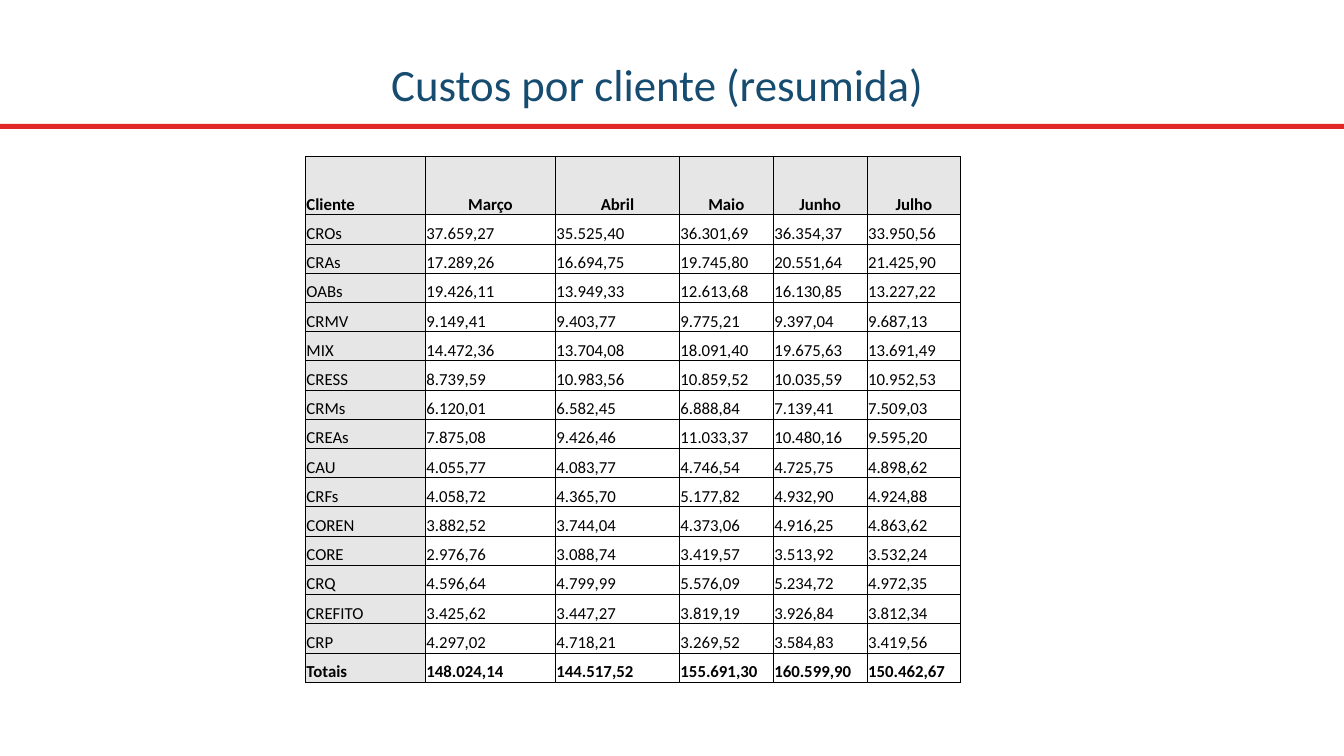
from lxml import etree
from pptx import Presentation
from pptx import util as u
from pptx.dml.color import RGBColor
from pptx.enum import shapes, text
from pptx.oxml import ns

COLORS = {"title": "174C71", "rule": "E12826", "header": "E7E6E6", "ink": "000000"}
COLUMN_WIDTHS = [1.19, 1.29, 1.23, 0.93, 0.93, 0.93]
ROW_HEIGHT = 0.29
COSTS = [
    "Cliente Março Abril Maio Junho Julho",
    "CROs 37.659,27 35.525,40 36.301,69 36.354,37 33.950,56",
    "CRAs 17.289,26 16.694,75 19.745,80 20.551,64 21.425,90",
    "OABs 19.426,11 13.949,33 12.613,68 16.130,85 13.227,22",
    "CRMV 9.149,41 9.403,77 9.775,21 9.397,04 9.687,13",
    "MIX 14.472,36 13.704,08 18.091,40 19.675,63 13.691,49",
    "CRESS 8.739,59 10.983,56 10.859,52 10.035,59 10.952,53",
    "CRMs 6.120,01 6.582,45 6.888,84 7.139,41 7.509,03",
    "CREAs 7.875,08 9.426,46 11.033,37 10.480,16 9.595,20",
    "CAU 4.055,77 4.083,77 4.746,54 4.725,75 4.898,62",
    "CRFs 4.058,72 4.365,70 5.177,82 4.932,90 4.924,88",
    "COREN 3.882,52 3.744,04 4.373,06 4.916,25 4.863,62",
    "CORE 2.976,76 3.088,74 3.419,57 3.513,92 3.532,24",
    "CRQ 4.596,64 4.799,99 5.576,09 5.234,72 4.972,35",
    "CREFITO 3.425,62 3.447,27 3.819,19 3.926,84 3.812,34",
    "CRP 4.297,02 4.718,21 3.269,52 3.584,83 3.419,56",
    "Totais 148.024,14 144.517,52 155.691,30 160.599,90 150.462,67",
]
rows = [line.split() for line in COSTS]


def write(para, words, size, color, align, bold=False):
    para.alignment = align
    span = para.add_run()
    span.text = words
    font_format = {"name": "Calibri", "size": u.Pt(size), "bold": bold}
    for name, value in font_format.items():
        setattr(span.font, name, value)
    span.font.color.rgb = RGBColor.from_string(COLORS[color])


def add_borders(cell):
    """Draw a thin line on all four sides; lines must precede the fill in tcPr."""
    properties = cell._tc.get_or_add_tcPr()
    for position, side in enumerate(["lnL", "lnR", "lnT", "lnB"]):
        line = etree.Element(ns.qn(f"a:{side}"), w=str(u.Pt(0.5)))
        fill = etree.SubElement(line, ns.qn("a:solidFill"))
        etree.SubElement(fill, ns.qn("a:srgbClr"), val=COLORS["ink"])
        properties.insert(position, line)


deck = Presentation()
deck.slide_width, deck.slide_height = u.Inches(13.33), u.Inches(7.5)
page = deck.slides.add_slide(deck.slide_layouts[6])

rule = page.shapes.add_shape(
    shapes.MSO_SHAPE.RECTANGLE, u.Inches(0), u.Inches(1.23), deck.slide_width, u.Inches(0.05)
)
rule.shadow.inherit = False
rule.fill.solid()
rule.fill.fore_color.rgb = RGBColor.from_string(COLORS["rule"])
rule.line.fill.background()

title_box = page.shapes.add_textbox(u.Inches(0.22), u.Inches(0.44), u.Inches(12.6), u.Inches(0.85))
title_box.text_frame.word_wrap = True
title_box.text_frame.vertical_anchor = text.MSO_ANCHOR.MIDDLE
title = title_box.text_frame.paragraphs[0]
title.line_spacing = 0.9
write(title, "Custos por cliente (resumida)", 32, "title", text.PP_ALIGN.CENTER)

table = page.shapes.add_table(
    len(rows), len(COLUMN_WIDTHS), u.Inches(3.03), u.Inches(1.55),
    u.Inches(sum(COLUMN_WIDTHS)), u.Inches(ROW_HEIGHT * (len(rows) + 1)),
).table
table.first_row = table.horz_banding = False
for column, width in zip(table.columns, COLUMN_WIDTHS):
    column.width = u.Inches(width)

cell_format = {
    "vertical_anchor": text.MSO_ANCHOR.BOTTOM,
    "margin_left": u.Inches(0.01),
    "margin_right": u.Inches(0.01),
    "margin_top": u.Inches(0.01),
    "margin_bottom": u.Inches(0),
}
for r, row in enumerate(rows):
    is_header, is_total = r == 0, r == len(rows) - 1
    table.rows[r].height = u.Inches(ROW_HEIGHT * (2 if is_header else 1))
    for c, words in enumerate(row):
        cell = table.cell(r, c)
        for name, value in cell_format.items():
            setattr(cell, name, value)
        if is_header or c == 0:
            cell.fill.solid()
            cell.fill.fore_color.rgb = RGBColor.from_string(COLORS["header"])
        else:
            cell.fill.background()
        add_borders(cell)
        align = text.PP_ALIGN.CENTER if is_header and c else text.PP_ALIGN.LEFT
        write(cell.text_frame.paragraphs[0], words, 12, "ink", align, is_header or is_total)

deck.save("out.pptx")
